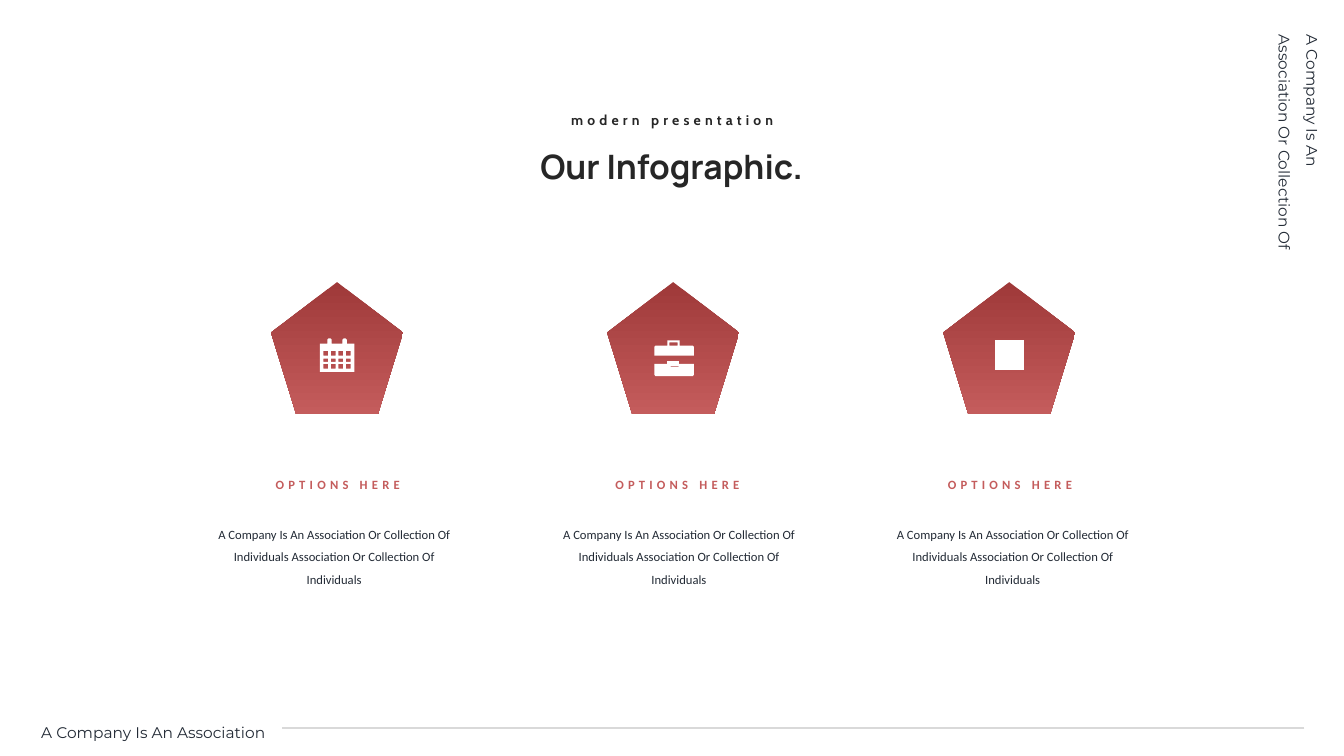
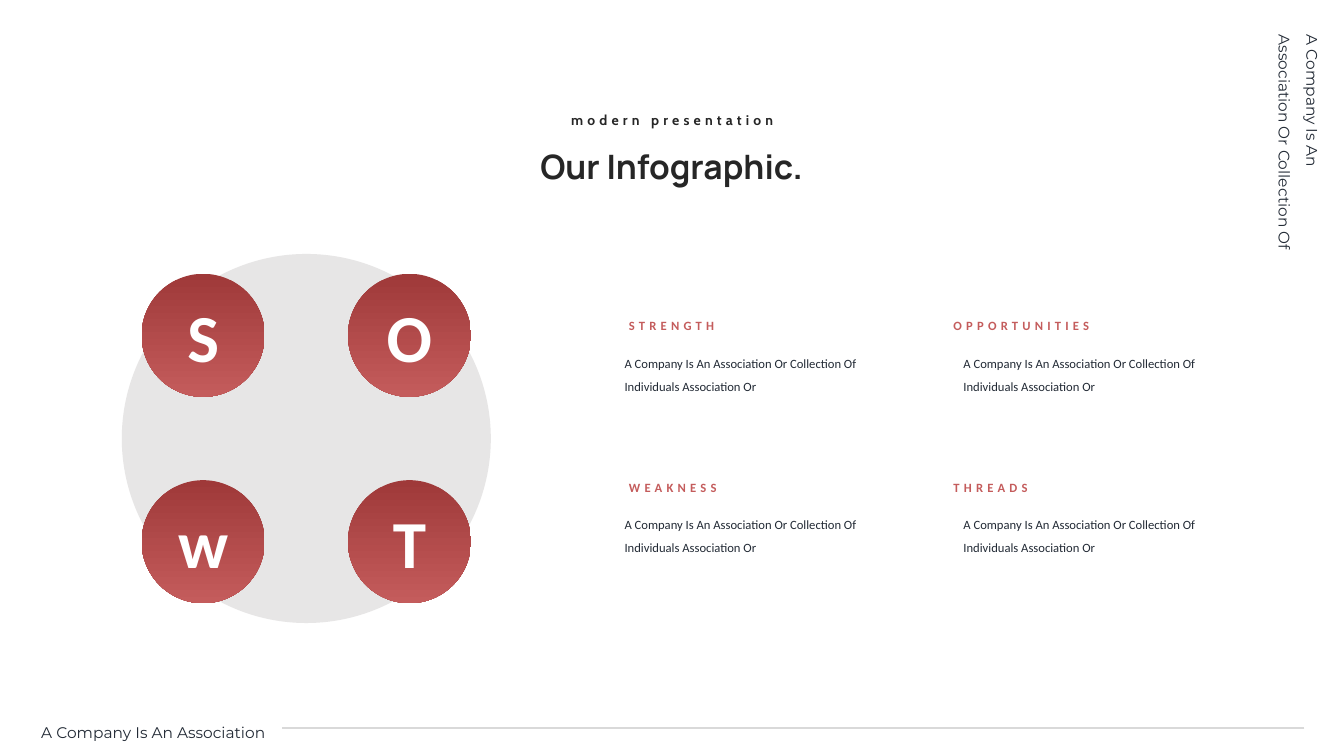
"""Build two infographic slides: three options and a SWOT overview."""
from dataclasses import dataclass

from lxml import etree
from pptx import Presentation
from pptx.dml.color import RGBColor
from pptx.enum import shapes, text
from pptx.oxml import ns
from pptx.util import Cm, Pt

LEFT, CENTER = text.PP_ALIGN.LEFT, text.PP_ALIGN.CENTER


@dataclass(frozen=True)
class Style:
    """Type settings of one kind of text."""
    font: str
    size: int
    color: str
    bold: bool = False
    tracking: int = 0
    leading: float = 1.0


@dataclass(frozen=True)
class Theme:
    """Colours and type sizes of the deck."""
    dark_red: str = "9F3939"
    red: str = "C45C5C"
    white: str = "FFFFFF"
    disc: str = "E7E6E6"
    rule: str = "D9D9D9"
    title: Style = Style("Manrope", 24, "262626", bold=True)
    kicker: Style = Style("Cabin", 10, "262626", bold=True, tracking=300)
    margin: Style = Style("Montserrat", 11, "222A35", leading=1.5)
    heading: Style = Style("Calibri", 9, "C45C5C", bold=True, tracking=300)
    detail: Style = Style("Calibri", 9, "222A35", leading=1.5)
    letter: Style = Style("Calibri", 48, "FFFFFF", bold=True)


THEME = Theme()
COMPANY = "A Company Is An Association"
SUMMARY = COMPANY + " Or Collection Of Individuals Association Or"


def write(frame, wording, style, align=LEFT):
    """Fill a text frame with one styled paragraph."""
    frame.text = wording
    frame.word_wrap = True
    paragraph = frame.paragraphs[0]
    paragraph.alignment = align
    paragraph.line_spacing = style.leading
    run = paragraph.runs[0]
    run.font.name = style.font
    run.font.size = Pt(style.size)
    run.font.bold = style.bold
    run.font.color.rgb = RGBColor.from_string(style.color)
    if style.tracking:
        run._r.get_or_add_rPr().set("spc", str(style.tracking))


def clear_insets(frame):
    """Centre the text vertically in a frame without insets."""
    frame.vertical_anchor = text.MSO_ANCHOR.MIDDLE
    frame.margin_left = frame.margin_right = 0
    frame.margin_top = frame.margin_bottom = 0


def add_words(slide, box, wording, style, align=LEFT):
    """Add a text box that grows with its wording."""
    label = slide.shapes.add_textbox(*map(Cm, box))
    write(label.text_frame, wording, style, align)
    label.text_frame.auto_size = text.MSO_AUTO_SIZE.SHAPE_TO_FIT_TEXT
    return label


def add_heading(slide, x, y, wording, align=LEFT):
    """Add a spaced red heading."""
    heading = add_words(slide, (x, y, 4.42, 0.38), wording, THEME.heading, align)
    clear_insets(heading.text_frame)


def paint(shape, color):
    """Give a shape a plain fill without line or shadow."""
    shape.shadow.inherit = False
    shape.line.fill.background()
    shape.fill.solid()
    shape.fill.fore_color.rgb = RGBColor.from_string(color)


def add_plain(slide, kind, box, color):
    """Add a preset shape in one colour."""
    shape = slide.shapes.add_shape(kind, *map(Cm, box))
    paint(shape, color)
    return shape


def add_badge(slide, kind, box):
    """Add a preset shape with the red gradient running downwards."""
    badge = add_plain(slide, kind, box, THEME.red)
    badge.fill.gradient()
    badge.fill.gradient_angle = 270
    for stop, color in zip(badge.fill.gradient_stops, (THEME.dark_red, THEME.red)):
        stop.color.rgb = RGBColor.from_string(color)
    return badge


def corners(x, y, width, height):
    """Return the corner points of a rectangle."""
    return [(x, y), (x + width, y), (x + width, y + height), (x, y + height)]


def add_outline(slide, left, top, *contours):
    """Add a white outline; contours after the first are holes."""
    builder = None
    for contour in contours:
        points = [(Cm(left + x), Cm(top + y)) for x, y in contour]
        if builder is None:
            builder = slide.shapes.build_freeform(*points[0], scale=1.0)
        else:
            builder.move_to(*points[0])
        builder.add_line_segments(points[1:], close=True)
    paint(builder.convert_to_shape(), THEME.white)


def add_calendar(slide, left, top):
    """Draw a calendar icon inside a badge."""
    sheet = [(1.23, 1.55)]
    for ring in (1.42, 1.8):
        sheet += [(ring, 1.55), (ring, 1.45), (ring + 0.03, 1.42),
                  (ring + 0.08, 1.42), (ring + 0.11, 1.45), (ring + 0.11, 1.55)]
    sheet += [(2.1, 1.55), (2.1, 2.26), (1.23, 2.26)]
    days = [corners(1.32 + 0.19 * column, y, 0.12, height)
            for y, height in ((1.73, 0.12), (1.93, 0.08), (2.06, 0.12))
            for column in range(4)]
    add_outline(slide, left, top, sheet, *days)


def add_briefcase(slide, left, top):
    """Draw a briefcase icon inside a badge."""
    lid = [(1.19, 1.63), (1.22, 1.6), (1.52, 1.6), (1.52, 1.47), (1.83, 1.47),
           (1.83, 1.6), (2.16, 1.6), (2.19, 1.63), (2.19, 1.85), (1.19, 1.85)]
    case = [(1.19, 2.06), (1.6, 2.06), (1.6, 2.13), (1.8, 2.13), (1.8, 2.06),
            (2.19, 2.06), (2.19, 2.33), (2.16, 2.37), (1.22, 2.37), (1.19, 2.33)]
    add_outline(slide, left, top, lid, corners(1.57, 1.52, 0.21, 0.08))
    add_outline(slide, left, top, case)
    add_outline(slide, left, top, corners(1.52, 1.98, 0.3, 0.13))


def add_tile(slide, left, top):
    """Draw a plain tile icon inside a badge."""
    add_outline(slide, left, top, corners(1.3, 1.45, 0.74, 0.76))


def add_page(deck):
    """Add a slide with the title, kicker, margin text and footer."""
    slide = deck.slides.add_slide(deck.slide_layouts[5])
    title = slide.shapes.title
    title.left, title.top, title.width, title.height = map(Cm, (9.98, 3.56, 13.89, 1.27))
    write(title.text_frame, "Our Infographic.", THEME.title, CENTER)
    title.text_frame.vertical_anchor = text.MSO_ANCHOR.TOP
    title.text_frame.auto_size = text.MSO_AUTO_SIZE.SHAPE_TO_FIT_TEXT
    add_words(slide, (13.64, 2.69, 6.6, 0.69), "modern presentation", THEME.kicker, CENTER)
    side = add_words(slide, (29.82, 2.9, 6.12, 1.57),
                     COMPANY + " Or Collection Of", THEME.margin)
    side.rotation = 90
    add_words(slide, (0.79, 17.86, 11.07, 0.89), COMPANY, THEME.margin)
    rule = slide.shapes.add_connector(shapes.MSO_CONNECTOR.STRAIGHT,
                                      *map(Cm, (32.87, 18.34, 7.11, 18.34)))
    rule.line.color.rgb = RGBColor.from_string(THEME.rule)
    rule.line.width = Pt(1.5)
    etree.SubElement(rule._element.spPr, ns.qn("a:effectLst"))
    return slide


def add_option(slide, left, top, draw_icon, heading_shift, detail_shift):
    """Add one option: pentagon, icon, heading and detail."""
    add_badge(slide, shapes.MSO_SHAPE.REGULAR_PENTAGON, (left, top, 3.33, 3.33))
    draw_icon(slide, left, top)
    add_heading(slide, left + heading_shift, top + 4.9, "OPTIONS HERE", CENTER)
    add_words(slide, (left + detail_shift, top + 5.84, 6.58, 1.98),
              SUMMARY + " Collection Of Individuals", THEME.detail, CENTER)


def add_swot_disc(slide, left, top, size):
    """Add the grey disc with a lettered circle in each quarter."""
    add_plain(slide, shapes.MSO_SHAPE.OVAL, (left, top, size, size), THEME.disc)
    inset, circle = 0.5, 3.1
    pitch = size - 2 * inset - circle
    for index, letter in enumerate("SOwT"):
        row, column = divmod(index, 2)
        badge = add_badge(slide, shapes.MSO_SHAPE.OVAL,
                          (left + inset + column * pitch,
                           top + inset + row * pitch, circle, circle))
        write(badge.text_frame, letter, THEME.letter, CENTER)
        clear_insets(badge.text_frame)


def add_swot_notes(slide, left, top):
    """Add the four headed notes in two columns."""
    columns = (
        (left, 0.36, ("STRENGTH", "WEAKNESS")),
        (left + 8.54, 0, ("OPPORTUNITIES", "THREADS")),
    )
    for x, indent, headings in columns:
        for row, heading in enumerate(headings):
            y = top + 4.06 * row
            add_heading(slide, x + indent, y, heading)
            add_words(slide, (x, y + 0.64, 6.93, 1.42), SUMMARY, THEME.detail)


def build_options(deck):
    """Build the slide with three options."""
    slide = add_page(deck)
    options = (
        (add_calendar, -0.53, -1.7),
        (add_briefcase, -0.44, -1.48),
        (add_tile, -0.53, -1.54),
    )
    for index, option in enumerate(options):
        add_option(slide, 6.83 + 8.47 * index, 7.11, *option)


def build_swot(deck):
    """Build the SWOT slide."""
    slide = add_page(deck)
    add_swot_disc(slide, 3.07, 6.4, 9.3)
    add_swot_notes(slide, 15.49, 8.02)


def main():
    """Build and save the deck."""
    deck = Presentation()
    deck.slide_width, deck.slide_height = Cm(33.87), Cm(19.05)
    build_options(deck)
    build_swot(deck)
    deck.save("out.pptx")


if __name__ == "__main__":
    main()
